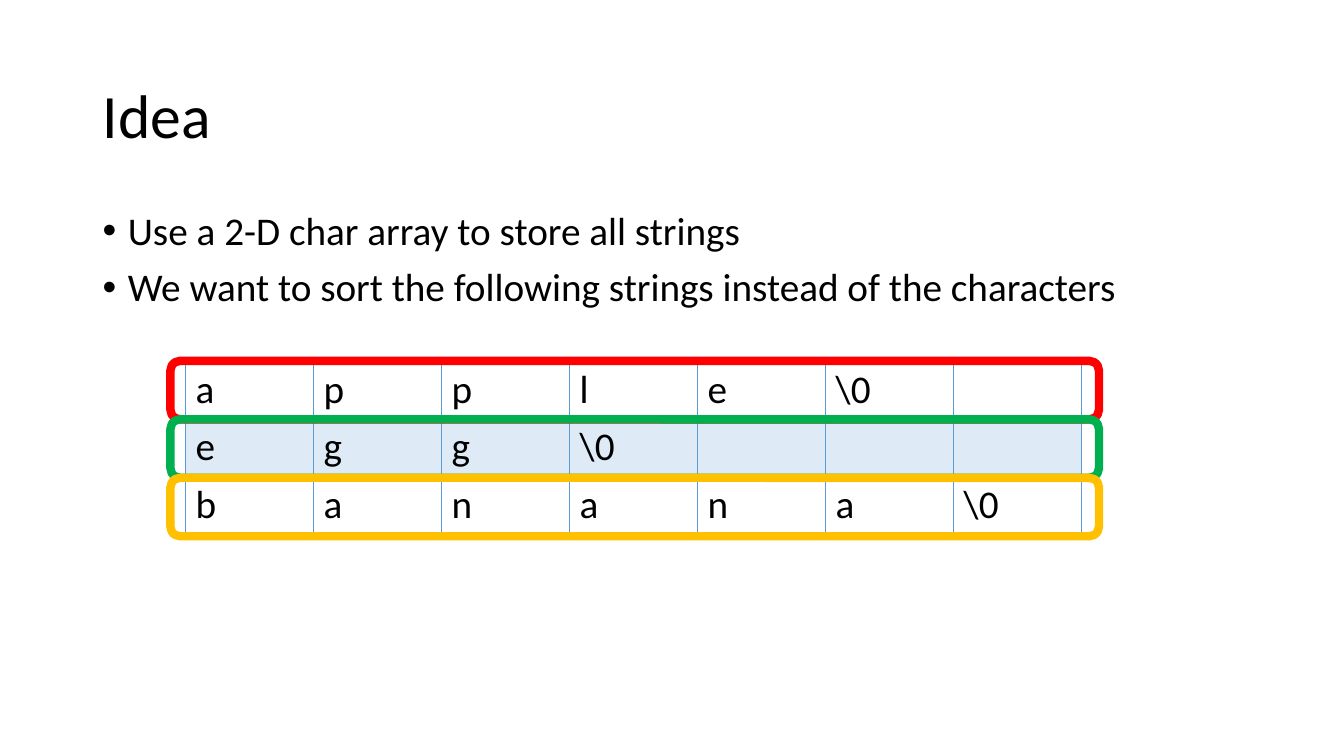
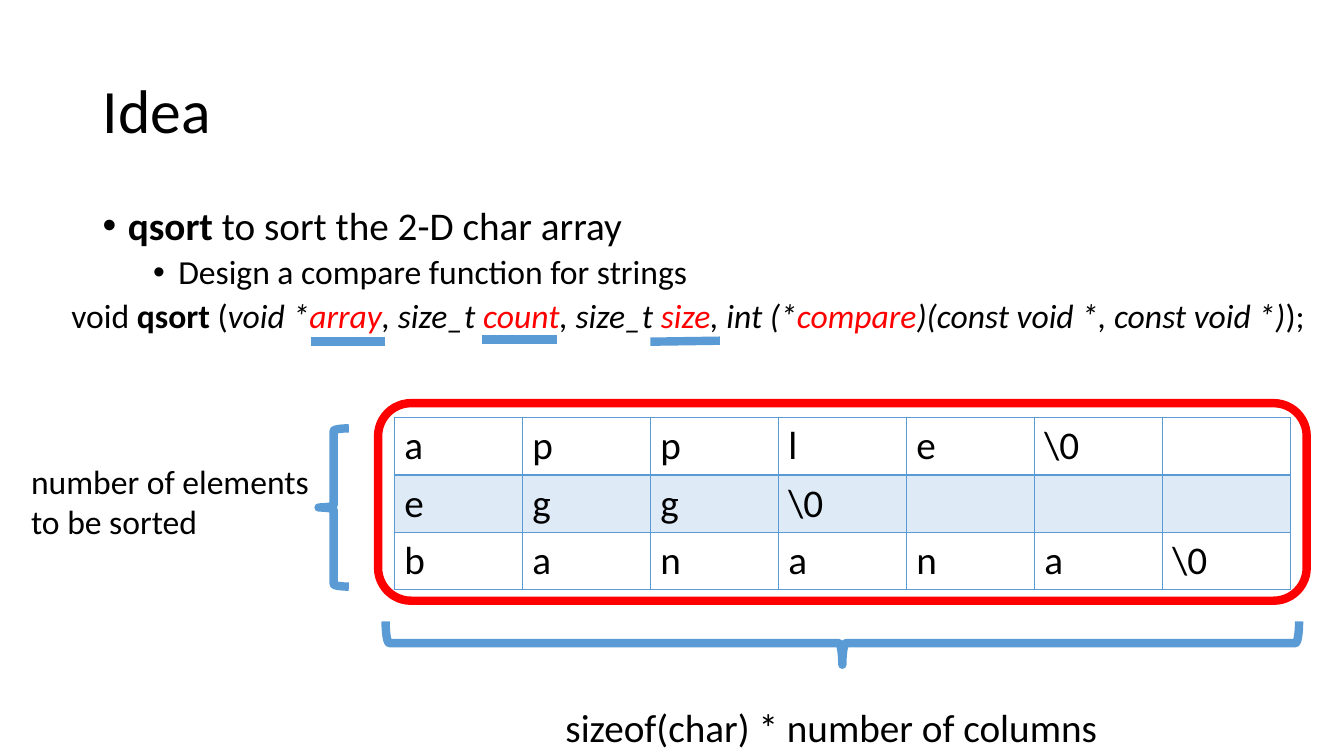
import pptx
import pptx.util
import pptx.dml.color
import pptx.enum.shapes
import pptx.enum.text
import pptx.oxml
import pptx.oxml.ns
from pptx.util import Inches

FONT = "Calibri"
BLACK = "000000"
RED = "FF0000"
GREEN = "00B050"
GOLD = "FFC000"
BLUE = "5B9BD5"
PALE_BLUE = "DEEBF7"
HEAVY_LINE = 6
COLUMN_WIDTH = 1.27
ROW_HEIGHT = 0.57
STRINGS = [
    ["a", "p", "p", "l", "e", "\\0", ""],
    ["e", "g", "g", "\\0", "", "", ""],
    ["b", "a", "n", "a", "n", "a", "\\0"],
]


def colour(value):
    return pptx.dml.color.RGBColor.from_string(value)


def add_run(paragraph, text, size, text_colour=BLACK, bold=False, italic=False):
    run = paragraph.add_run()
    run.text = text
    run.font.name = FONT
    run.font.size = pptx.util.Pt(size)
    run.font.bold = bold
    run.font.italic = italic
    run.font.color.rgb = colour(text_colour)


def add_titled_slide(presentation, title, top):
    slide = presentation.slides.add_slide(presentation.slide_layouts[5])
    shape = slide.shapes.title
    shape.left, shape.top = Inches(0.92), Inches(top)
    shape.width, shape.height = Inches(11.5), Inches(1.45)
    frame = shape.text_frame
    frame.auto_size = pptx.enum.text.MSO_AUTO_SIZE.NONE
    frame.vertical_anchor = pptx.enum.text.MSO_ANCHOR.MIDDLE
    paragraph = frame.paragraphs[0]
    paragraph.alignment = pptx.enum.text.PP_ALIGN.LEFT
    paragraph.line_spacing = 0.9
    add_run(paragraph, title, 44)
    return slide


def add_text(slide, left, top, width, height, size, lines):
    frame = slide.shapes.add_textbox(
        Inches(left), Inches(top), Inches(width), Inches(height)
    ).text_frame
    frame.word_wrap = True
    for index, runs in enumerate(lines):
        paragraph = frame.add_paragraph() if index else frame.paragraphs[0]
        for text, style in runs:
            add_run(paragraph, text, size, **style)
    return frame


def add_bullets(slide, top, items):
    frame = add_text(slide, 0.92, top, 11.5, 4.76, 28, [])
    for index, (level, runs) in enumerate(items):
        paragraph = frame.add_paragraph() if index else frame.paragraphs[0]
        paragraph.level = level
        paragraph.line_spacing = 0.9
        if index:
            paragraph.space_before = pptx.util.Pt(5 if level else 10)
        properties = paragraph._p.get_or_add_pPr()
        properties.set("marL", str(Inches(0.25 + 0.5 * level)))
        properties.set("indent", str(Inches(-0.25)))
        font = pptx.oxml.parse_xml(
            f'<a:buFont {pptx.oxml.ns.nsdecls("a")} typeface="Arial"/>'
        )
        bullet = pptx.oxml.parse_xml(
            f'<a:buChar {pptx.oxml.ns.nsdecls("a")} char="•"/>'
        )
        properties.extend([font, bullet])
        for text, style in runs:
            add_run(paragraph, text, 24 if level else 28, **style)


def add_border(cell, side, width):
    cell._tc.get_or_add_tcPr().append(pptx.oxml.parse_xml(
        f'<a:ln{side} {pptx.oxml.ns.nsdecls("a")} w="{pptx.util.Pt(width)}">'
        f'<a:solidFill><a:srgbClr val="{BLUE}"/></a:solidFill></a:ln{side}>'
    ))


def add_string_table(slide, left, top):
    rows, columns = len(STRINGS), len(STRINGS[0])
    table = slide.shapes.add_table(
        rows, columns, Inches(left), Inches(top),
        Inches(COLUMN_WIDTH * columns), Inches(ROW_HEIGHT * rows),
    ).table
    table.first_row = False
    table.horz_banding = False
    for column in table.columns:
        column.width = Inches(COLUMN_WIDTH)
    for row_index, letters in enumerate(STRINGS):
        table.rows[row_index].height = Inches(ROW_HEIGHT)
        for column_index, letter in enumerate(letters):
            cell = table.cell(row_index, column_index)
            widths = {
                "L": 1,
                "R": 1,
                "T": 2 if row_index == 1 else 1,
                "B": 2 if row_index == 0 else 1,
            }
            for side, width in widths.items():
                add_border(cell, side, width)
            if row_index % 2:
                cell.fill.solid()
                cell.fill.fore_color.rgb = colour(PALE_BLUE)
            else:
                cell.fill.background()
            if letter:
                add_run(cell.text_frame.paragraphs[0], letter, 28)


def add_outline(slide, kind, left, top, width, height, line_colour, rotation=0):
    shape = slide.shapes.add_shape(
        kind, Inches(left), Inches(top), Inches(width), Inches(height)
    )
    shape.shadow.inherit = False
    shape.fill.background()
    shape.line.color.rgb = colour(line_colour)
    shape.line.width = pptx.util.Pt(HEAVY_LINE)
    shape.rotation = rotation


def add_underline(slide, start_x, start_y, end_x, end_y):
    connector = slide.shapes.add_connector(
        pptx.enum.shapes.MSO_CONNECTOR.STRAIGHT,
        Inches(start_x), Inches(start_y), Inches(end_x), Inches(end_y),
    )
    connector.line.color.rgb = colour(BLUE)
    connector.line.width = pptx.util.Pt(HEAVY_LINE)
    connector._element.spPr.append(pptx.oxml.parse_xml(
        f'<a:effectLst {pptx.oxml.ns.nsdecls("a")}/>'
    ))


def build_strings_slide(presentation):
    slide = add_titled_slide(presentation, "Idea", 0.45)
    add_bullets(slide, 2.05, [
        (0, [("Use a 2-D char array to store all strings", {})]),
        (0, [("We want to sort the following strings instead of the characters", {})]),
    ])
    add_string_table(slide, 1.84, 3.58)
    rounded = pptx.enum.shapes.MSO_SHAPE.ROUNDED_RECTANGLE
    for index, line_colour in enumerate([RED, GREEN, GOLD]):
        add_outline(slide, rounded, 1.69, 3.58 + 0.58 * index, 9.21, 0.58, line_colour)


def build_qsort_slide(presentation):
    slide = add_titled_slide(presentation, "Idea", 0.4)
    bold, italic = {"bold": True}, {"italic": True}
    argument = {"italic": True, "text_colour": RED}
    add_bullets(slide, 2, [
        (0, [("qsort", bold), (" to sort the 2-D char array", {})]),
        (1, [("Design a compare function for strings", {})]),
    ])
    add_text(slide, 0.61, 2.88, 12.64, 0.5, 24, [[
        ("void ", {}),
        ("qsort", bold),
        (" (", {}),
        ("void *", italic),
        ("array", argument),
        (", size_t ", italic),
        ("count", argument),
        (", size_t ", italic),
        ("size", argument),
        (", int (*", italic),
        ("compare", argument),
        (")(const void *, const void *)", italic),
        (");", {}),
    ]])
    add_string_table(slide, 3.91, 4.14)
    shapes = pptx.enum.shapes.MSO_SHAPE
    add_outline(slide, shapes.ROUNDED_RECTANGLE, 3.75, 4, 9.21, 1.96, RED)
    add_underline(slide, 3.08, 3.39, 3.82, 3.39)
    add_underline(slide, 4.78, 3.37, 5.52, 3.37)
    add_underline(slide, 6.45, 3.39, 7.14, 3.38)
    add_outline(slide, shapes.LEFT_BRACE, 3.16, 4.25, 0.3, 1.57, BLUE)
    add_outline(slide, shapes.LEFT_BRACE, 8.14, 1.85, 0.43, 9.06, BLUE, 270)
    add_text(slide, 0.21, 4.52, 3.06, 0.91, 24, [
        [("number of elements", {})],
        [("to be sorted", {})],
    ])
    add_text(slide, 5.51, 6.93, 5.69, 0.57, 28, [
        [("sizeof(char) * number of columns", {})],
    ])


def main():
    presentation = pptx.Presentation()
    presentation.slide_width = Inches(13.33)
    presentation.slide_height = Inches(7.5)
    build_strings_slide(presentation)
    build_qsort_slide(presentation)
    presentation.save("out.pptx")


if __name__ == "__main__":
    main()
